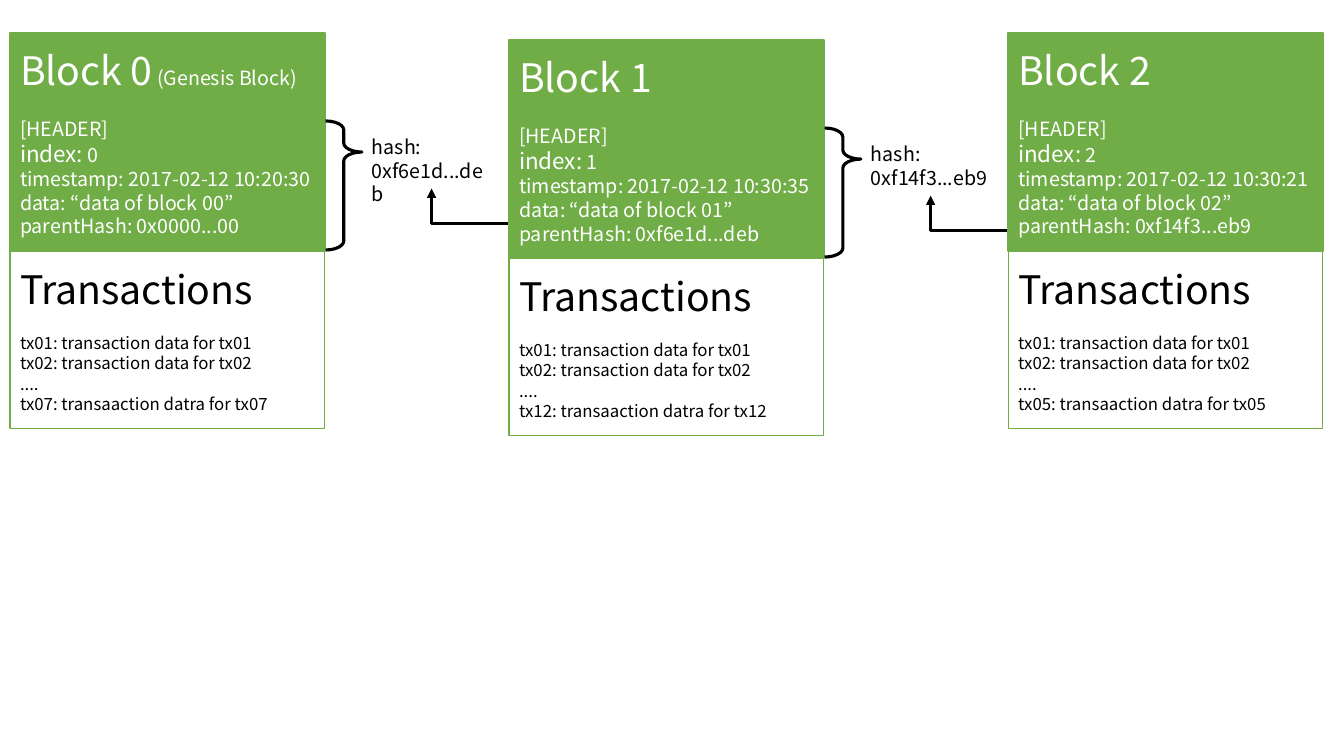
from lxml import etree
from pptx import Presentation
from pptx.dml.color import RGBColor
from pptx.enum.shapes import MSO_CONNECTOR, MSO_SHAPE
from pptx.enum.text import MSO_ANCHOR, PP_ALIGN
from pptx.oxml.ns import qn
from pptx.util import Inches, Pt

RECTANGLE, BRACE = MSO_SHAPE.RECTANGLE, MSO_SHAPE.RIGHT_BRACE
ELBOW = MSO_CONNECTOR.ELBOW
TOP, MIDDLE, LEFT = MSO_ANCHOR.TOP, MSO_ANCHOR.MIDDLE, PP_ALIGN.LEFT
FONT = "Noto Sans CJK JP"
LINE_RATIO = 1.2
COLORS = {"green": "70AD47", "white": "FFFFFF", "black": "000000"}
BLOCK_WIDTH, HEADER_HEIGHT, TRANSACTIONS_HEIGHT = 3.12, 2.16, 1.76
BLOCK_PITCH = 4.95

BLOCKS = [
    {"top": 0.33, "note": " (Genesis Block)", "time": "10:20:30",
     "parent": "0x0000...00", "hash": "0xf6e1d...deb", "last_tx": "07"},
    {"top": 0.4, "note": "", "time": "10:30:35",
     "parent": "0xf6e1d...deb", "hash": "0xf14f3...eb9", "last_tx": "12"},
    {"top": 0.33, "note": "", "time": "10:30:21",
     "parent": "0xf14f3...eb9", "hash": None, "last_tx": "05"},
]


def rgb(name):
    """Return the named colour."""
    return RGBColor.from_string(COLORS[name])


def write(shape, lines, color="black", anchor=MIDDLE, gap=0):
    """Write lines of (text, size) runs, with a gap in points after the first line."""
    frame = shape.text_frame
    frame.word_wrap = True
    frame.vertical_anchor = anchor
    for number, runs in enumerate(lines):
        paragraph = frame.paragraphs[0] if number == 0 else frame.add_paragraph()
        paragraph.alignment = LEFT
        paragraph.line_spacing = Pt(LINE_RATIO * max(size for _, size in runs))
        if number == 1:
            paragraph.space_before = Pt(gap)
        for text, size in runs:
            run = paragraph.add_run()
            run.text = text
            run.font.name = FONT
            run.font.size = Pt(size)
            run.font.color.rgb = rgb(color)


def add_panel(slide, left, top, height, fill, line_width):
    """Add one green-edged panel of a block."""
    panel = slide.shapes.add_shape(
        RECTANGLE, Inches(left), Inches(top), Inches(BLOCK_WIDTH), Inches(height))
    panel.shadow.inherit = False
    panel.fill.solid()
    panel.fill.fore_color.rgb = rgb(fill)
    panel.line.color.rgb = rgb("green")
    panel.line.width = Pt(line_width)
    return panel


def add_block(slide, left, top, index, block):
    """Add a block: its header above its transactions."""
    header = add_panel(slide, left, top, HEADER_HEIGHT, "green", 1.5)
    title = [(f"Block {index}", 28)]
    if block["note"]:
        title.append((block["note"], 14))
    fields = [f"timestamp: 2017-02-12 {block['time']}",
              f"data: \u201cdata of block {index:02d}\u201d",
              f"parentHash: {block['parent']}"]
    write(header, [title, [("[HEADER]", 14)], [("index:", 16), (f" {index}", 14)]]
          + [[(field, 14)] for field in fields], color="white", gap=14 * LINE_RATIO)

    transactions = add_panel(
        slide, left, top + HEADER_HEIGHT, TRANSACTIONS_HEIGHT, "white", 1)
    last = block["last_tx"]
    entries = [f"tx{number}: transaction data for tx{number}" for number in ("01", "02")]
    entries += ["....", f"tx{last}: transaaction datra for tx{last}"]
    write(transactions, [[("Transactions", 28)]] + [[(entry, 12)] for entry in entries],
          gap=12 * LINE_RATIO)


def add_hash(slide, left, top, value):
    """Add the brace beside a header and the hash it yields."""
    brace = slide.shapes.add_shape(
        BRACE, Inches(left + 3.13), Inches(top + 0.87), Inches(0.36), Inches(1.28))
    brace.shadow.inherit = False
    brace.fill.background()
    brace.line.color.rgb = rgb("black")
    brace.line.width = Pt(2.25)
    brace.adjustments[0], brace.adjustments[1] = 0.248, 0.241
    label = slide.shapes.add_textbox(
        Inches(left + 3.49), Inches(top + 0.96), Inches(1.38), Inches(0.57))
    write(label, [[("hash:", 14)], [(value, 14)]], anchor=TOP)


def add_parent_link(slide, left, top):
    """Add the arrow from the next block's parentHash up to this block's hash."""
    link = slide.shapes.add_connector(
        ELBOW, Inches(left + 4.18), Inches(top + 1.54),
        Inches(left + 5.01), Inches(top + 1.89))
    link.line.color.rgb = rgb("black")
    link.line.width = Pt(2.25)
    properties = link._element.spPr
    properties.find(qn("a:xfrm")).set("rot", "10800000")
    properties.find(qn("a:prstGeom")).set("prst", "bentConnector2")
    etree.SubElement(properties.find(qn("a:ln")), qn("a:tailEnd"), type="triangle")
    etree.SubElement(properties, qn("a:effectLst"))


def build_chain(slide, left):
    """Place the linked blocks from left to right."""
    for index, block in enumerate(BLOCKS):
        block_left = left + index * BLOCK_PITCH
        add_block(slide, block_left, block["top"], index, block)
        if block["hash"]:
            add_hash(slide, block_left, block["top"], block["hash"])
            add_parent_link(slide, block_left, block["top"])


presentation = Presentation()
presentation.slide_width = Inches(13.33)
presentation.slide_height = Inches(7.5)
chain_slide = presentation.slides.add_slide(presentation.slide_layouts[6])
build_chain(chain_slide, 0.1)
presentation.save("out.pptx")
